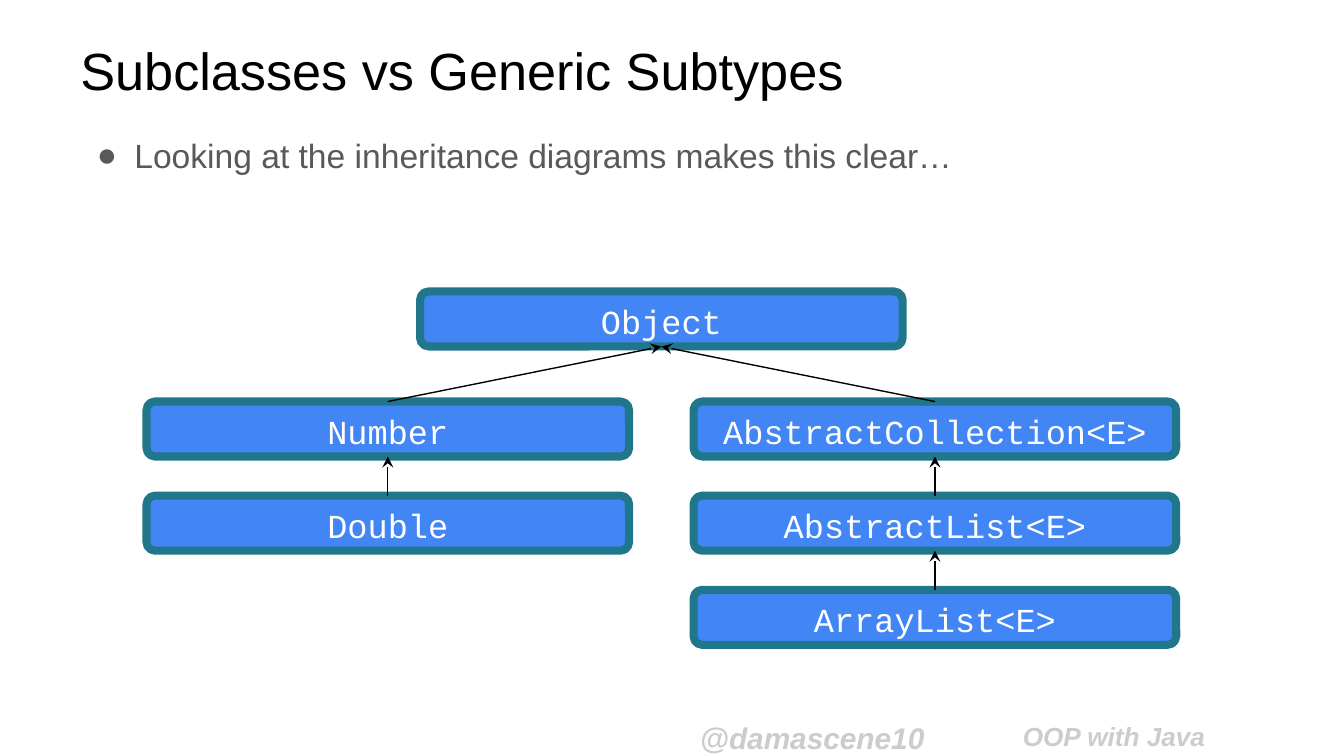
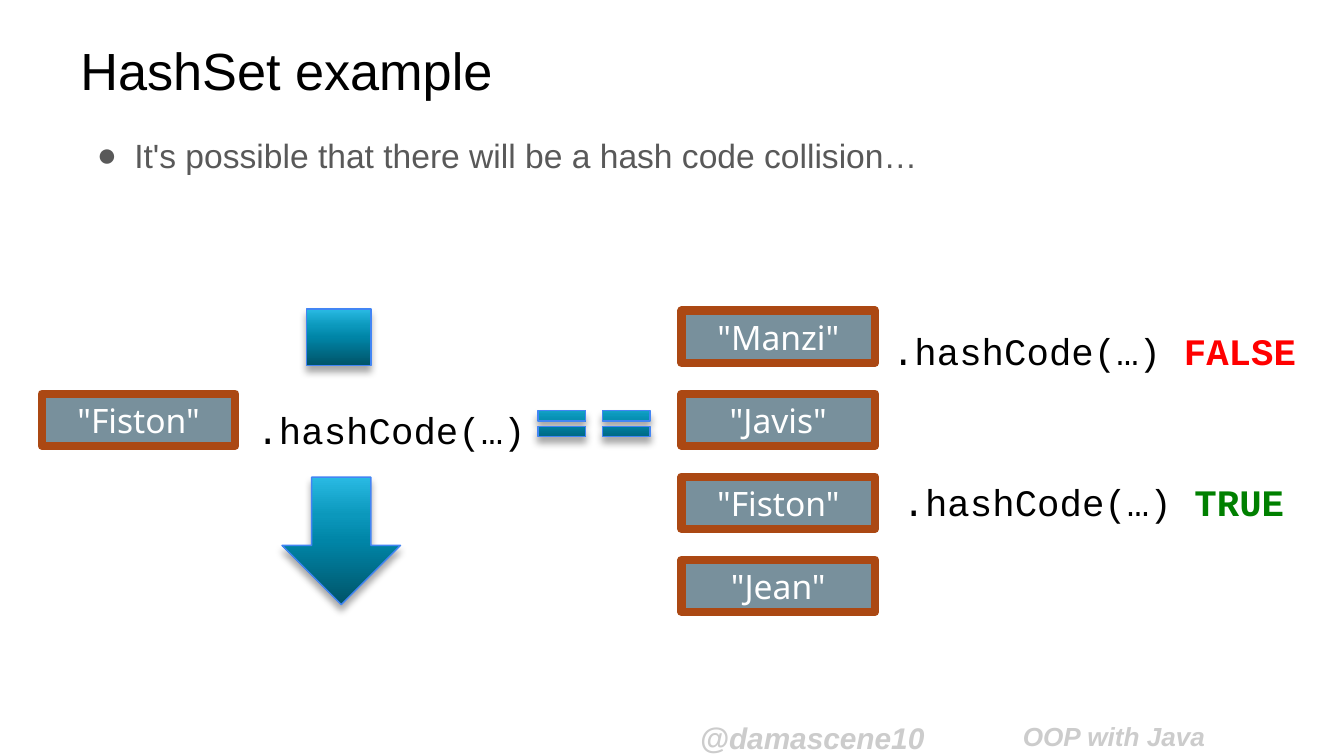
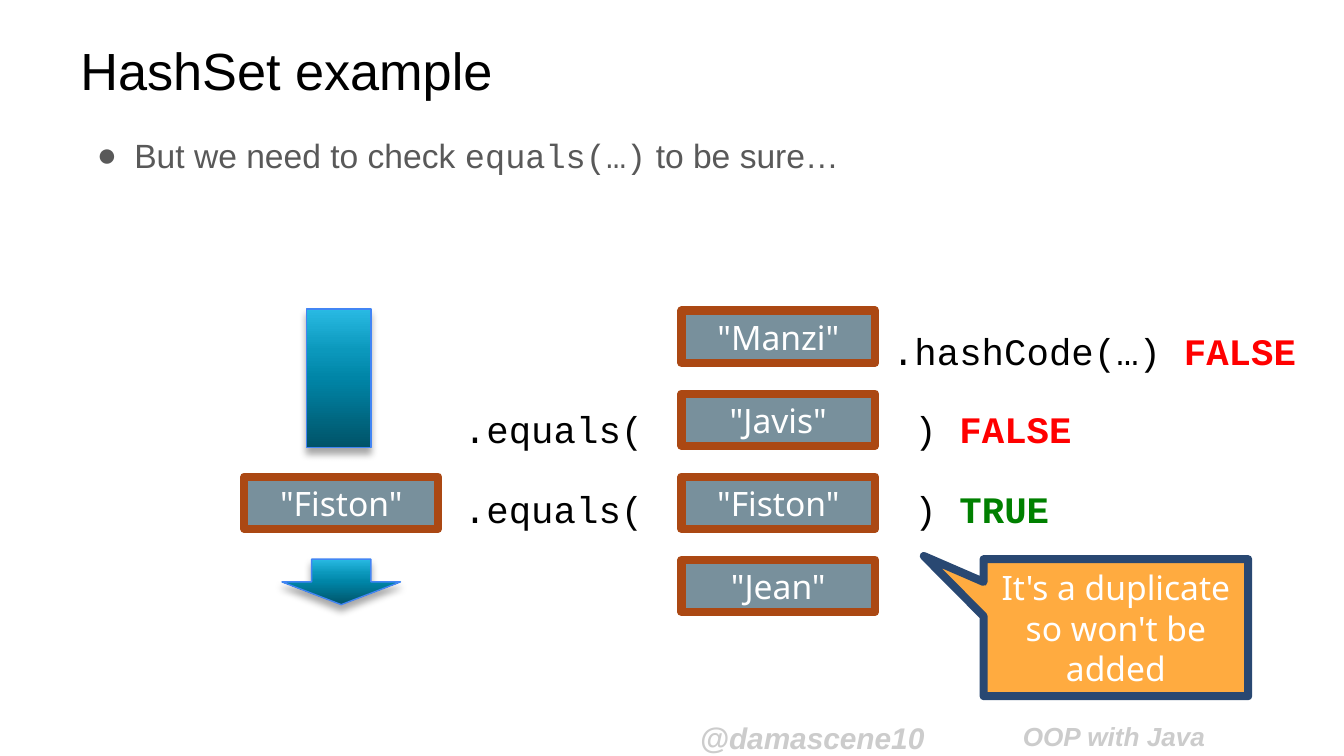
from pptx import Presentation
from pptx.dml.color import RGBColor
from pptx.enum.shapes import MSO_CONNECTOR as Link, MSO_SHAPE as Kind
from pptx.enum.text import MSO_ANCHOR as Anchor, MSO_AUTO_SIZE as Fit, PP_ALIGN as Align
from pptx.oxml import parse_xml
from pptx.oxml.ns import nsdecls, qn
from pptx.util import Cm, Pt

# Shared colours and text formats
BLACK, WHITE, GREY = "000000", "FFFFFF", "595959"
BLUE, TEAL = "4285F4", "20768B"
SLATE, RUST = "78909C", "AB4813"
AMBER, NAVY = "FFAB40", "294872"
SHADES = {0: "005368", 50: "0085A7", 70: "0B98BC", 100: "29BAE3"}

SANS, MONO = "Arial", "Courier New"
TITLE = dict(name=SANS, size=Pt(28), color=BLACK)
BODY = dict(name=SANS, size=Pt(18), color=GREY)
FOOT = dict(name=SANS, size=Pt(16), color="CCCCCC", bold=True, italic=True)
NODE = dict(name=MONO, size=Pt(18), color=WHITE)
WORD = dict(name="Noto Sans", size=Pt(18), color=WHITE)
CODE = dict(name=MONO, size=Pt(20), color=BLACK)
FALSE = ("FALSE", dict(color="FF0000", bold=True))
TRUE = ("TRUE", dict(color="008000", bold=True))

# Regions in cm: left, top, width, height
TREE = (2.77, 5.51, 19.46, 6.68)
SCENE = (0.79, 5.84, 24.02, 5.72)
THICK = 4.33


def rgb(code):
    return RGBColor.from_string(code)


def place(box, x, y, w, h):
    return box[0] + x, box[1] + y, w, h


def write(frame, parts, style, **para):
    """Fill a frame with runs; a part is a string or (string, changes)."""
    frame.word_wrap = True
    line = frame.paragraphs[0]
    for key, value in para.items():
        setattr(line, key, value)
    for part in parts:
        text, extra = (part, {}) if isinstance(part, str) else part
        run = line.add_run()
        run.text = text
        for key, value in {**style, **extra}.items():
            if key == "color":
                run.font.color.rgb = rgb(value)
            else:
                setattr(run.font, key, value)
    return line


def label(slide, box, parts, style, **para):
    area = slide.shapes.add_textbox(*map(Cm, box))
    write(area.text_frame, parts, style, **para)
    return area.text_frame


def shape(slide, kind, box, edge, width, fill=None, adj=()):
    item = slide.shapes.add_shape(kind, *map(Cm, box))
    item.shadow.inherit = False
    item.line.color.rgb = rgb(edge)
    item.line.width = Pt(width)
    if fill:
        item.fill.solid()
        item.fill.fore_color.rgb = rgb(fill)
    for i, value in enumerate(adj):
        item.adjustments[i] = value
    return item


def panel(slide, kind, box, text, style, fill, edge, adj=(), anchor=Anchor.MIDDLE):
    item = shape(slide, kind, box, edge, THICK, fill, adj)
    write(item.text_frame, [text], style, alignment=Align.CENTER)
    item.text_frame.vertical_anchor = anchor
    return item


def glossy(slide, kind, box, adj=()):
    """Shape with the blue gradient and a soft shadow below."""
    item = shape(slide, kind, box, BLUE, 0.75, adj=adj)
    stops = "".join(f'<a:gs pos="{pos * 1000}"><a:srgbClr val="{code}"/></a:gs>'
                    for pos, code in SHADES.items())
    props = item.element.spPr
    props.insert(2, parse_xml(
        f'<a:gradFill {nsdecls("a")} rotWithShape="1"><a:gsLst>{stops}</a:gsLst>'
        '<a:lin ang="16200000" scaled="0"/></a:gradFill>'))
    props.find(qn("a:effectLst")).append(parse_xml(
        f'<a:outerShdw {nsdecls("a")} blurRad="{Pt(4)}" dist="{Pt(3)}" dir="5400000" '
        'rotWithShape="0"><a:srgbClr val="000000"><a:alpha val="35000"/></a:srgbClr>'
        '</a:outerShdw>'))


def arrow(slide, child, parent):
    """Arrow from the top of the child to the foot of the parent."""
    link = slide.shapes.add_connector(Link.STRAIGHT, 0, 0, 0, 0)
    link.begin_connect(child, 0)
    link.end_connect(parent, 2)
    link.line.color.rgb = rgb(BLACK)
    link.line.width = Pt(0.75)
    link.line._get_or_add_ln().append(
        parse_xml(f'<a:tailEnd {nsdecls("a")} type="stealth"/>'))
    link._element.spPr.append(parse_xml(f'<a:effectLst {nsdecls("a")}/>'))


def base(deck, title, parts):
    """Slide with footers, title and one bullet."""
    slide = deck.slides.add_slide(deck.slide_layouts[6])
    for x, text, size in ((12.98, "@damascene10", 16), (19.08, "OOP with Java", 14)):
        frame = label(slide, (x, 13.36, 5.54, 0.84), [text], {**FOOT, "size": Pt(size)})
        frame.margin_top = frame.margin_bottom = Cm(0.25)
    head = label(slide, (1.27, 0.43, 22.86, 1.78), [title], TITLE)
    head.vertical_anchor = Anchor.MIDDLE
    body = label(slide, (1.27, 2.31, 22.86, 7.06), parts, BODY, line_spacing=1.15)
    props = body.paragraphs[0]._p.get_or_add_pPr()
    props.set("marL", str(Cm(1.02)))
    props.set("indent", str(Cm(-0.71)))
    for xml in (f'<a:buClr {nsdecls("a")}><a:srgbClr val="{GREY}"/></a:buClr>',
                f'<a:buFont {nsdecls("a")} typeface="{SANS}"/>',
                f'<a:buChar {nsdecls("a")} char="●"/>'):
        props.append(parse_xml(xml))
    return slide


def tree(slide, box):
    """Root class with one chain of subclasses on each side."""
    w, h, first, step = 9.12, 1.04, 2.08, 1.78

    def node(x, y, name):
        return panel(slide, Kind.ROUNDED_RECTANGLE, place(box, x, y, w, h), name,
                     NODE, BLUE, TEAL, [0.156], Anchor.TOP)

    root = node((box[2] - w) / 2, 0, "Object")
    chains = ((0, ("Number", "Double")),
              (box[2] - w, ("AbstractCollection<E>", "AbstractList<E>", "ArrayList<E>")))
    for x, names in chains:
        nodes = [root] + [node(x, first + i * step, name) for i, name in enumerate(names)]
        for parent, child in zip(nodes, nodes[1:]):
            arrow(slide, child, parent)


def word(slide, box, x, row, text):
    spot = place(box, x, 0.03 + 1.57 * row, 3.66, 0.99)
    panel(slide, Kind.RECTANGLE, spot, f'"{text}"', WORD, SLATE, RUST)


def code(slide, box, x, y, w, *parts):
    frame = label(slide, place(box, x, y, w, 1.12), parts, CODE)
    frame.auto_size = Fit.SHAPE_TO_FIT_TEXT


def scan(slide, box, row, x, stop, start):
    """Stored words, the sought word at its row and the broken arrow."""
    for i, text in enumerate(("Manzi", "Javis", "Fiston", "Jean")):
        word(slide, box, 12.09, i, text)
    word(slide, box, x, row, "Fiston")
    glossy(slide, Kind.RECTANGLE, place(box, 5, 0, 1.22, stop))
    glossy(slide, Kind.DOWN_ARROW, place(box, 4.54, start, 2.24, 5.59 - start), [0.5, 0.5])
    code(slide, box, 15.82, 0.23, 8.2, ".hashCode(…) ", FALSE)


def clash(slide, box):
    """Hash codes are compared."""
    scan(slide, box, 1, 0, 1.07, 3.18)
    code(slide, box, 3.81, 1.73, 5.64, ".hashCode(…)")
    code(slide, box, 16.02, 3.1, 7.77, ".hashCode(…) ", TRUE)
    for i in range(2):
        glossy(slide, Kind.MATH_EQUAL, place(box, 9.22 + 1.22 * i, 1.75, 1.22, 0.84),
               [0.235, 0.118])


def check(slide, box):
    """Words are compared with equals."""
    scan(slide, box, 2, 3.83, 2.62, 4.73)
    for y, result in ((1.72, FALSE), (3.23, TRUE)):
        code(slide, box, 7.73, y, 3.94, ".equals(")
        code(slide, box, 15.82, y, 3.94, " ) ", result)
    panel(slide, Kind.RECTANGULAR_CALLOUT, place(box, 17.8, 4.73, 5, 2.59),
          "It's a duplicate so won't be added", WORD, AMBER, NAVY, [-0.726, -0.523])


def main():
    deck = Presentation()
    deck.slide_width, deck.slide_height = Cm(25.4), Cm(14.29)
    tree(base(deck, "Subclasses vs Generic Subtypes",
              ["Looking at the inheritance diagrams makes this clear…"]), TREE)
    clash(base(deck, "HashSet example",
               ["It's possible that there will be a hash code collision…"]), SCENE)
    check(base(deck, "HashSet example",
               ["But we need to check ", ("equals(…)", dict(name=MONO)),
                " to be sure…"]), SCENE)
    deck.save("out.pptx")


if __name__ == "__main__":
    main()
